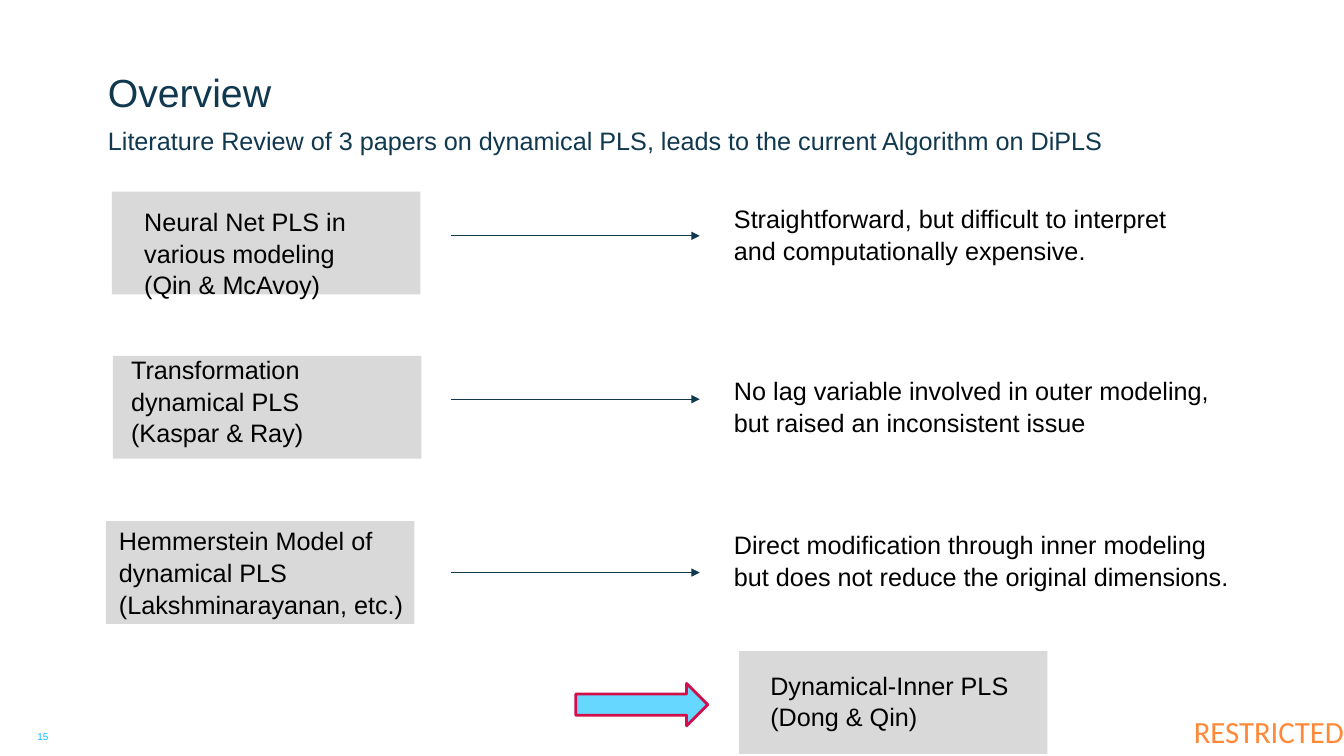
"""Build the overview slide on dynamical PLS papers."""
import dataclasses

import pptx
import pptx.dml.color
import pptx.enum.shapes
import pptx.enum.text
import pptx.oxml
import pptx.oxml.ns
import pptx.util

Inches = pptx.util.Inches
Pt = pptx.util.Pt
Align = pptx.enum.text.PP_ALIGN
Anchor = pptx.enum.text.MSO_ANCHOR
Shape = pptx.enum.shapes.MSO_SHAPE


@dataclasses.dataclass(frozen=True)
class Theme:
    """Fonts, colours and type sizes."""
    font: str = "Arial"
    label: str = "Calibri"
    navy: str = "10384F"
    black: str = "000000"
    gray: str = "D9D9D9"
    sky: str = "66D7FF"
    cyan: str = "00BCFF"
    red: str = "D30F4B"
    orange: str = "FF8939"
    head: float = 28
    body: float = 18
    mark: float = 22
    page: float = 7


THEME = Theme()

PAPERS = [
    ((1.11, 1.9), (1.43, 2.03, 2.41, 0.68),
     ["Neural Net PLS in various modeling (Qin & McAvoy)"], 2.34,
     (2, 4.4), "Straightforward, but difficult to interpret and computationally expensive."),
    ((1.12, 3.53), (1.3, 3.5, 2.68, 0.96),
     ["Transformation dynamical PLS", "(Kaspar & Ray)"], 3.96,
     (3.71, 4.84), "No lag variable involved in outer modeling, but raised an inconsistent issue"),
    ((1.05, 5.17), (1.18, 5.2, 2.84, 0.95),
     ["Hemmerstein Model of dynamical PLS", "(Lakshminarayanan, etc.)"], 5.68,
     (5.24, 5), "Direct modification through inner modeling but does not reduce the original dimensions."),
]


def color(code):
    """Turn a hex code into a colour."""
    return pptx.dml.color.RGBColor.from_string(code)


def write(shape, lines, size=THEME.body, ink=THEME.black, font=THEME.font,
          align=Align.LEFT, anchor=Anchor.TOP, space=1.05):
    """Fill a shape with paragraphs in one style."""
    frame = shape.text_frame
    frame.word_wrap = True
    frame.auto_size = pptx.enum.text.MSO_AUTO_SIZE.NONE
    frame.vertical_anchor = anchor
    frame.margin_left = frame.margin_right = Inches(0)
    frame.margin_top = frame.margin_bottom = Inches(0)
    frame.text = "\n".join(lines)
    for para in frame.paragraphs:
        para.alignment = align
        para.line_spacing = space
        para.font.size = Pt(size)
        para.font.name = font
        para.font.color.rgb = color(ink)


def add_text(slide, box, lines, **style):
    """Add a text box."""
    write(slide.shapes.add_textbox(*map(Inches, box)), lines, **style)


def add_form(slide, kind, box, fill, line=None):
    """Add a filled shape with an optional outline."""
    form = slide.shapes.add_shape(kind, *map(Inches, box))
    form.shadow.inherit = False
    form.fill.solid()
    form.fill.fore_color.rgb = color(fill)
    if line:
        form.line.color.rgb = color(line)
        form.line.width = Pt(2)
    else:
        form.line.fill.background()


def add_paper(slide, spot, box, lines):
    """Add a gray panel with the name of a paper."""
    add_form(slide, Shape.RECTANGLE, (*spot, 3.06, 1.02), THEME.gray)
    add_text(slide, box, lines)


def add_arrow(slide, top):
    """Add a thin arrow from a paper to its remark."""
    link = slide.shapes.add_connector(
        pptx.enum.shapes.MSO_CONNECTOR.STRAIGHT,
        Inches(4.47), Inches(top), Inches(6.94), Inches(top))
    link.line.color.rgb = color(THEME.navy)
    link.line.width = Pt(0.5)
    props = link._element.spPr
    tail = pptx.oxml.parse_xml(
        f'<a:tailEnd {pptx.oxml.ns.nsdecls("a")} type="triangle"/>')
    props.find(pptx.oxml.ns.qn("a:ln")).append(tail)
    props.append(pptx.oxml.parse_xml(
        f'<a:effectLst {pptx.oxml.ns.nsdecls("a")}/>'))


def set_holder(holder, box, line, **style):
    """Move a placeholder and fill it."""
    holder.left, holder.top, holder.width, holder.height = map(Inches, box)
    write(holder, [line], ink=THEME.navy, space=1.0, **style)


def main():
    """Build and save the slide."""
    deck = pptx.Presentation()
    deck.slide_width = Inches(13.33)
    deck.slide_height = Inches(7.5)
    slide = deck.slides.add_slide(deck.slide_layouts[0])
    set_holder(slide.shapes.title, (1.07, 0.2, 11.81, 0.94), "Overview",
               size=THEME.head, anchor=Anchor.BOTTOM)
    sub = slide.placeholders[1]
    set_holder(sub, (1.07, 1.24, 11.81, 0.28),
               "Literature Review of 3 papers on dynamical PLS, "
               "leads to the current Algorithm on DiPLS")
    sub.text_frame.paragraphs[0].space_before = Pt(12)
    sub.text_frame.paragraphs[0].space_after = Pt(6)

    for spot, box, lines, level, (top, width), remark in PAPERS:
        add_paper(slide, spot, box, lines)
        add_arrow(slide, level)
        add_text(slide, (7.28, top, width, 0.81), [remark])

    add_paper(slide, (7.33, 6.46), (7.64, 6.63, 2.45, 0.68),
              ["Dynamical-Inner PLS", "(Dong & Qin)"])
    add_form(slide, Shape.RIGHT_ARROW, (5.71, 6.78, 1.31, 0.42),
             THEME.sky, THEME.red)
    add_text(slide, (0.21, 7.24, 0.43, 0.12), ["15"], size=THEME.page,
             ink=THEME.cyan, align=Align.CENTER)
    add_text(slide, (11.28, 6.99, 2.05, 0.51), ["RESTRICTED"],
             size=THEME.mark, ink=THEME.orange, font=THEME.label,
             align=Align.RIGHT, anchor=Anchor.MIDDLE)
    deck.save("out.pptx")


if __name__ == "__main__":
    main()
